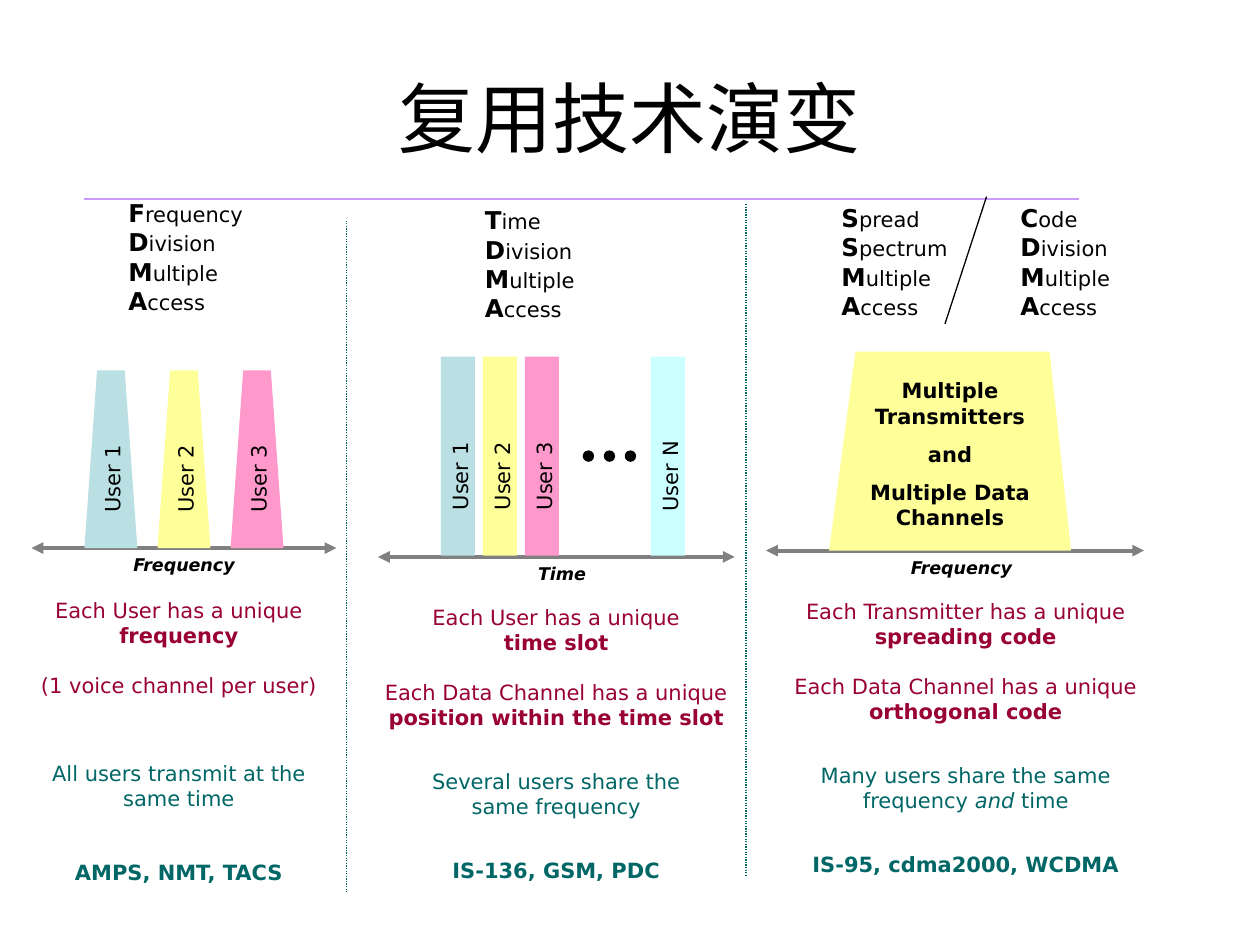
from lxml import etree
from pptx import Presentation
from pptx import util as u
from pptx.dml.color import RGBColor
from pptx.enum import dml, shapes, text
from pptx.oxml.ns import qn

THEME = dict(
    title_font="Arial", font="DejaVu Sans",
    title=44, initial=14, body=12, axis=10,
    ink="000000", wine="990033", teal="006666", grey="808080", rule="CC99FF",
    blue="BBE0E3", yellow="FFFF99", pink="FF99CC", cyan="CCFFFF",
)

# Content: a "*" toggles bold, a "_" toggles italic, "\n" breaks the line
TITLE = "复用技术演变"
ACRONYMS = [  # left, top, words
    (0.92, 1.52, ["Frequency", "Division", "Multiple", "Access"]),
    (3.75, 1.58, ["Time", "Division", "Multiple", "Access"]),
    (6.58, 1.56, ["Spread", "Spectrum", "Multiple", "Access"]),
    (8.00, 1.56, ["Code", "Division", "Multiple", "Access"]),
]
AXES = [  # start, end, height on page, label, label left
    (0.25, 2.67, 4.35, "Frequency", 0.75),
    (3.00, 5.83, 4.42, "Time", 3.75),
    (6.08, 9.08, 4.37, "Frequency", 6.92),
]
FREQUENCY_USERS = [("User 1", "blue"), ("User 2", "yellow"), ("User 3", "pink")]
TIME_USERS = [(0, "User 1", "blue"), (1, "User 2", "yellow"),
              (2, "User 3", "pink"), (5, "User N", "cyan")]
SPREAD_TEXT = ["*Multiple Transmitters", "*and", "*Multiple Data Channels"]
NOTES = [  # left, top, width, height, paragraphs (space before, colour, text)
    (0.17, 4.69, 2.50, 2.41, [
        (0, "wine", "Each User has a unique\n*frequency"),
        (14, "wine", "(1 voice channel per user)"),
        (36, "teal", "All users transmit at the same time"),
        (28, "teal", "*AMPS, NMT, TACS")]),
    (2.83, 4.75, 3.17, 2.31, [
        (0, "wine", "Each User has a unique\n*time slot"),
        (14, "wine", "Each Data Channel has a unique\n*position within the time slot"),
        (22, "teal", "Several users share the\nsame frequency"),
        (22, "teal", "*IS-136, GSM, PDC")]),
    (6.08, 4.70, 3.17, 2.31, [
        (0, "wine", "Each Transmitter has a unique\n*spreading code"),
        (14, "wine", "Each Data Channel has a unique\n*orthogonal code"),
        (22, "teal", "Many users share the same frequency _and_ time"),
        (22, "teal", "*IS-95, cdma2000, WCDMA")]),
]
DIVIDERS = [(2.75, 1.75, 7.08), (5.92, 1.62, 6.95)]  # x, top, bottom


def color(name):
    return RGBColor.from_string(THEME[name])


def add_line(page, x1, y1, x2, y2, ink, width, arrows=False, dotted=False):
    line = page.shapes.add_connector(
        shapes.MSO_CONNECTOR.STRAIGHT, *map(u.Inches, (x1, y1, x2, y2)))
    line.line.color.rgb = color(ink)
    line.line.width = u.Pt(width)
    if dotted:
        line.line.dash_style = dml.MSO_LINE.ROUND_DOT
    if arrows:
        outline = line.line._get_or_add_ln()
        for end in ("a:headEnd", "a:tailEnd"):
            etree.SubElement(outline, qn(end), type="triangle")
    etree.SubElement(line._element.spPr, qn("a:effectLst"))


def paint(shape, fill):
    shape.shadow.inherit = False
    shape.fill.solid()
    shape.fill.fore_color.rgb = color(fill)
    shape.line.fill.background()
    return shape


def add_preset(page, kind, left, top, width, height, fill):
    return paint(page.shapes.add_shape(
        kind, *map(u.Inches, (left, top, width, height))), fill)


def add_outline(page, points, fill):
    points = [(u.Inches(x), u.Inches(y)) for x, y in points]
    builder = page.shapes.build_freeform(*points[0])
    builder.add_line_segments(points[1:], close=True)
    paint(builder.convert_to_shape(), fill)


def add_box(page, left, top, width, height):
    box = page.shapes.add_textbox(*map(u.Inches, (left, top, width, height)))
    box.text_frame.word_wrap = True
    return box


def add_span(para, words, size, ink, bold=False, italic=False, font="font"):
    span = para.add_run()
    span.text = words
    span.font.name, span.font.size = THEME[font], u.Pt(THEME[size])
    span.font.color.rgb = color(ink)
    span.font.bold, span.font.italic = bold, italic


def add_break(para):
    para.add_line_break()
    etree.SubElement(para._p[-1], qn("a:rPr"), sz=str(THEME["body"] * 100))


def write(box, paragraphs, size="body"):
    """Fill a box with centred (space before, colour, marked-up text)."""
    frame = box.text_frame
    for index, (space, ink, markup) in enumerate(paragraphs):
        para = frame.add_paragraph() if index else frame.paragraphs[0]
        para.alignment = text.PP_ALIGN.CENTER
        if space:
            para.space_before = u.Pt(space)
        bold = italic = False
        words = ""
        for mark in markup + "\0":
            if mark not in "*_\n\0":
                words += mark
                continue
            if words:
                add_span(para, words, size, ink, bold, italic)
                words = ""
            bold ^= mark == "*"
            italic ^= mark == "_"
            if mark == "\n":
                add_break(para)


def add_user_label(page, center_x, center_y, name):
    width, height = 1.08, 0.3
    box = add_box(page, center_x - width / 2, center_y - height / 2, width, height)
    box.rotation = 270
    write(box, [(0, "ink", name)])


def main():
    deck = Presentation()
    deck.slide_width, deck.slide_height = u.Inches(10), u.Inches(7.5)
    page = deck.slides.add_slide(deck.slide_layouts[6])

    # Title and rule
    add_line(page, 0.67, 1.58, 8.56, 1.58, "rule", 1)
    box = add_box(page, 0.5, 0.3, 9, 1.25)
    box.text_frame.vertical_anchor = text.MSO_ANCHOR.MIDDLE
    para = box.text_frame.paragraphs[0]
    para.alignment = text.PP_ALIGN.CENTER
    add_span(para, TITLE, "title", "ink", font="title_font")

    # Column dividers, and the slash between the two spread spectrum names
    for x, top, bottom in DIVIDERS:
        add_line(page, x, top, x, bottom, "teal", 0.75, dotted=True)
    add_line(page, 7.83, 1.56, 7.5, 2.57, "ink", 0.75)

    # Acronyms with bold initials
    for left, top, words in ACRONYMS:
        para = add_box(page, left, top, 1.25, 1.04).text_frame.paragraphs[0]
        for index, word in enumerate(words):
            if index:
                add_break(para)
            add_span(para, word[0], "initial", "ink", bold=True)
            add_span(para, word[1:], "body", "ink")

    # Axes
    for start, end, y, label, left in AXES:
        add_line(page, start, y, end, y, "grey", 2.25, arrows=True)
        write(add_box(page, left, y, 1.42, 0.27), [(0, "ink", "*_" + label)], "axis")

    # Frequency bands
    for index, (name, fill) in enumerate(FREQUENCY_USERS):
        left = 0.67 + index * 0.58
        right = left + 0.42
        add_outline(page, [(left, 4.35), (left + 0.1, 2.94),
                           (right - 0.1, 2.94), (right, 4.35)], fill)
        add_user_label(page, left + 0.22, 3.8, name)

    # Time slots and the dots that stand for the slots left out
    for slot, name, fill in TIME_USERS:
        left = 3.5 + slot / 3
        add_preset(page, shapes.MSO_SHAPE.RECTANGLE, left, 2.83, 0.27, 1.58, fill)
        add_user_label(page, left + 0.15, 3.78, name)
    for index in range(3):
        dot = add_preset(page, shapes.MSO_SHAPE.OVAL, 4.63 + index / 6, 3.58,
                         0.08, 0.08, "ink")
        dot.line.color.rgb = color("ink")
        dot.line.width = u.Pt(0.75)

    # Shared spread spectrum band
    add_outline(page, [(6.58, 4.37), (6.79, 2.79), (8.33, 2.79), (8.5, 4.37)], "yellow")
    write(add_box(page, 6.75, 2.95, 1.58, 1.31),
          [(7.5 if index else 0, "ink", line) for index, line in enumerate(SPREAD_TEXT)])

    # Notes under each column
    for left, top, width, height, paragraphs in NOTES:
        write(add_box(page, left, top, width, height), paragraphs)

    deck.save("out.pptx")


if __name__ == "__main__":
    main()
